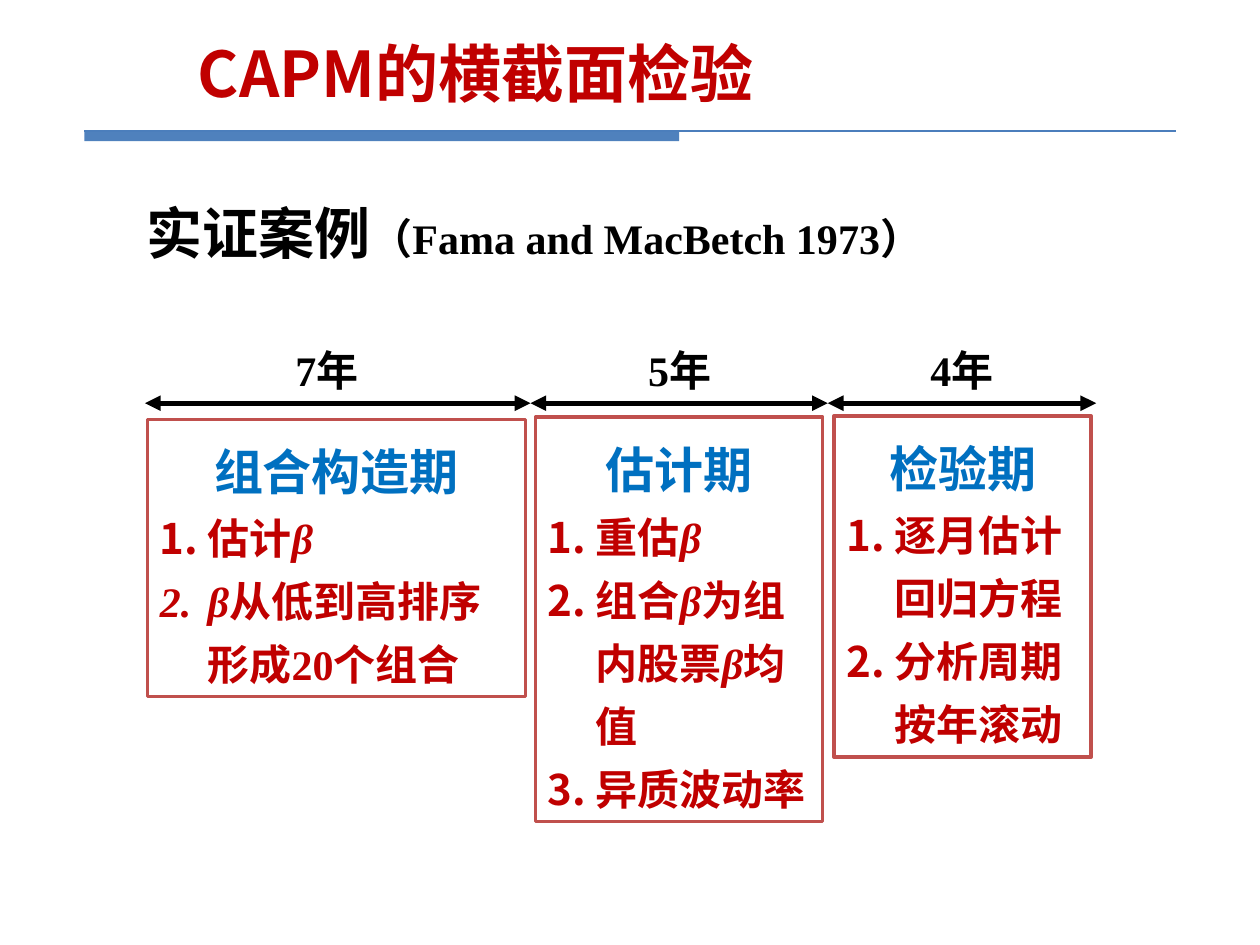
from pptx import Presentation
from pptx import util as u
from pptx.dml import color as c
from pptx.enum import shapes, text
from pptx.oxml import ns
from lxml import etree

Inches = u.Inches
HUES = {"red": "C00000", "blue": "0070C0", "black": "000000", "white": "FFFFFF",
        "edge": "C0504D", "bar": "4F81BD", "rule": "4B7EBC"}
SANS, SERIF = "Noto Sans CJK SC", "Times New Roman"
LEFT, MID = text.PP_ALIGN.LEFT, text.PP_ALIGN.CENTER


def write(par, words, size, hue, face=SERIF, lead=None, align=LEFT):
    par.alignment = align
    par.space_before = u.Pt(0)
    if lead:
        par.line_spacing = u.Pt(lead)
    for word in words:
        run = par.add_run()
        run.text = word
        font = run.font
        font.size, font.bold, font.italic = u.Pt(size), True, word == "β"
        font.name = face
        font.color.rgb = c.RGBColor.from_string(HUES[hue])
        asian = etree.SubElement(font._element, ns.qn("a:ea"))
        asian.set("typeface", SANS)


def link(x1, x2, y, hue, width, heads=False):
    line = slide.shapes.add_connector(shapes.MSO_CONNECTOR.STRAIGHT,
                                      Inches(x1), Inches(y), Inches(x2), Inches(y))
    line.line.color.rgb = c.RGBColor.from_string(HUES[hue])
    line.line.width = u.Pt(width)
    if heads:
        for end in ("a:headEnd", "a:tailEnd"):
            etree.SubElement(line.line._get_or_add_ln(), ns.qn(end)).set("type", "triangle")
    etree.SubElement(line._element.spPr, ns.qn("a:effectLst"))


deck = Presentation()
deck.slide_width, deck.slide_height = Inches(10), Inches(7.5)
slide = deck.slides.add_slide(deck.slide_layouts[1])

title, body = slide.shapes.title, slide.placeholders[1]
for item, spot, anchor in ((title, (1.47, 0.14, 7.57, 0.87), text.MSO_ANCHOR.MIDDLE),
                           (body, (1.06, 1.25, 7.66, 0.92), text.MSO_ANCHOR.TOP)):
    item.left, item.top, item.width, item.height = map(Inches, spot)
    item.text_frame.auto_size = text.MSO_AUTO_SIZE.NONE
    item.text_frame.vertical_anchor = anchor
write(title.text_frame.paragraphs[0], ["CAPM的横截面检验"], 36, "red", SANS)
par = body.text_frame.paragraphs[0]
write(par, ["实证案例"], 32, "black", lead=58)
write(par, ["（Fama and MacBetch 1973）"], 24, "black", lead=58)
props = par._p.get_or_add_pPr()
props.set("marL", "0")
props.set("indent", "0")
etree.SubElement(props, ns.qn("a:buNone"))

bar = slide.shapes.add_shape(shapes.MSO_SHAPE.RECTANGLE,
                             Inches(0.67), Inches(1.04), Inches(4.72), Inches(0.08))
bar.shadow.inherit = False
bar.fill.solid()
bar.fill.fore_color.rgb = c.RGBColor.from_string(HUES["bar"])
bar.line.fill.background()
link(0.67, 9.33, 1.04, "rule", 1.5)

stages = [
    ("7年", 2.16, (1.15, 4.21), (1.17, 3.33, 3, 2.2), "组合构造期",
     [["估计", "β"], ["β", "从低到高排序形成20个组合"]]),
    ("5年", 4.96, (4.21, 6.57), (4.25, 3.31, 2.28, 3.21), "估计期",
     [["重估", "β"], ["组合", "β", "为组内股票", "β", "均值"], ["异质波动率"]]),
    ("4年", 7.2, (6.57, 8.7), (6.62, 3.3, 2.04, 2.71), "检验期",
     [["逐月估计回归方程"], ["分析周期按年滚动"]]),
]
for years, left, span, spot, name, steps in stages:
    link(*span, 3.2, "black", 3, heads=True)
    label = slide.shapes.add_textbox(Inches(left), Inches(2.68), Inches(0.87), Inches(0.5))
    label.text_frame.word_wrap = True
    write(label.text_frame.paragraphs[0], [years], 24, "black", lead=29, align=MID)

    box = slide.shapes.add_shape(shapes.MSO_SHAPE.RECTANGLE, *map(Inches, spot))
    box.shadow.inherit = False
    box.fill.solid()
    box.fill.fore_color.rgb = c.RGBColor.from_string(HUES["white"])
    box.line.color.rgb = c.RGBColor.from_string(HUES["edge"])
    box.line.width = u.Pt(2)
    frame = box.text_frame
    frame.word_wrap = True
    frame.vertical_anchor = text.MSO_ANCHOR.MIDDLE
    write(frame.paragraphs[0], [name], 28, "blue", lead=42, align=MID)
    for step in steps:
        par = frame.add_paragraph()
        write(par, step, 24, "red", lead=36)
        props = par._p.get_or_add_pPr()
        props.set("marL", str(Inches(0.38)))
        props.set("indent", str(-Inches(0.38)))
        face = SERIF if step[0] == "β" else SANS
        etree.SubElement(props, ns.qn("a:buFont")).set("typeface", face)
        etree.SubElement(props, ns.qn("a:buAutoNum")).set("type", "arabicPeriod")

deck.save("out.pptx")
